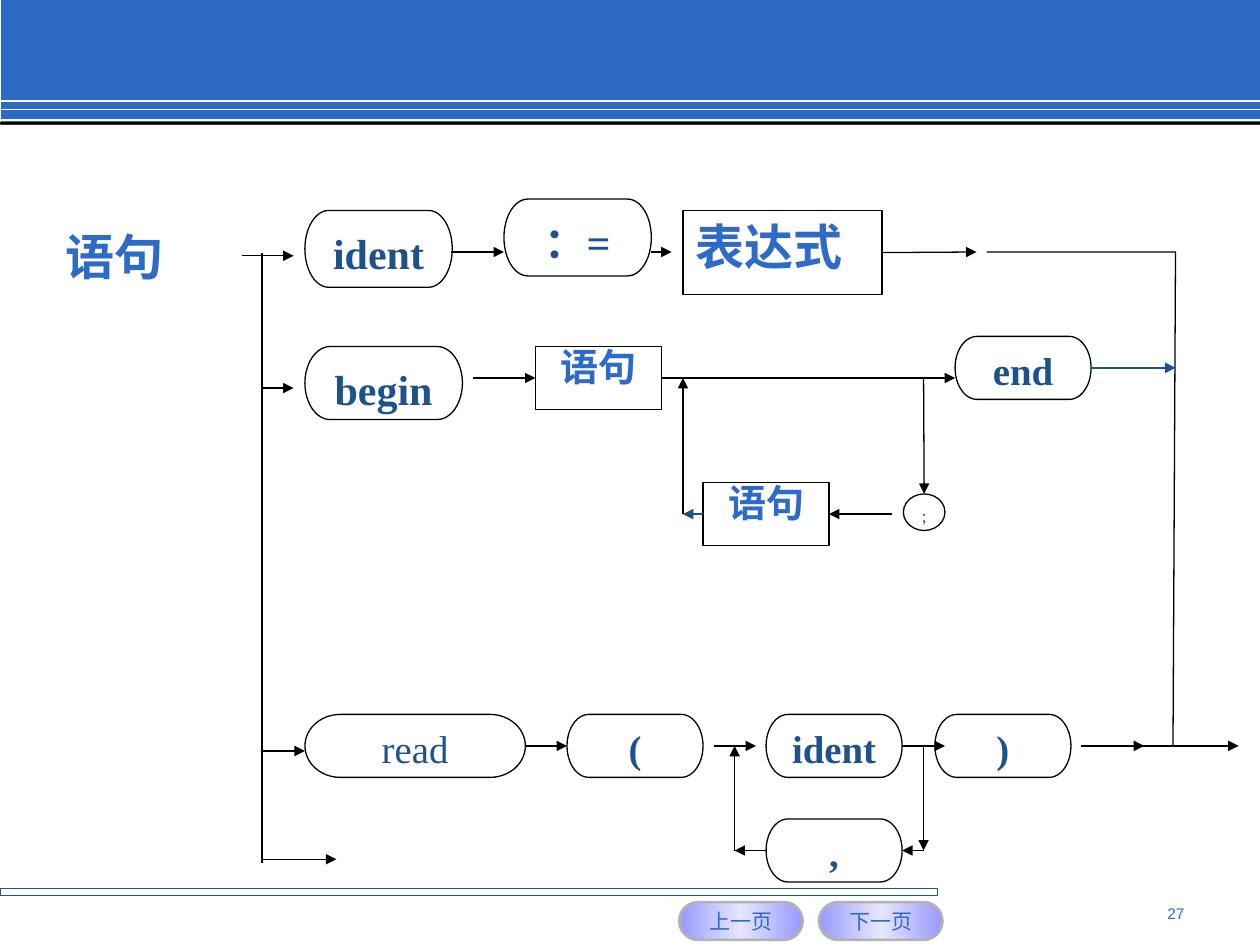
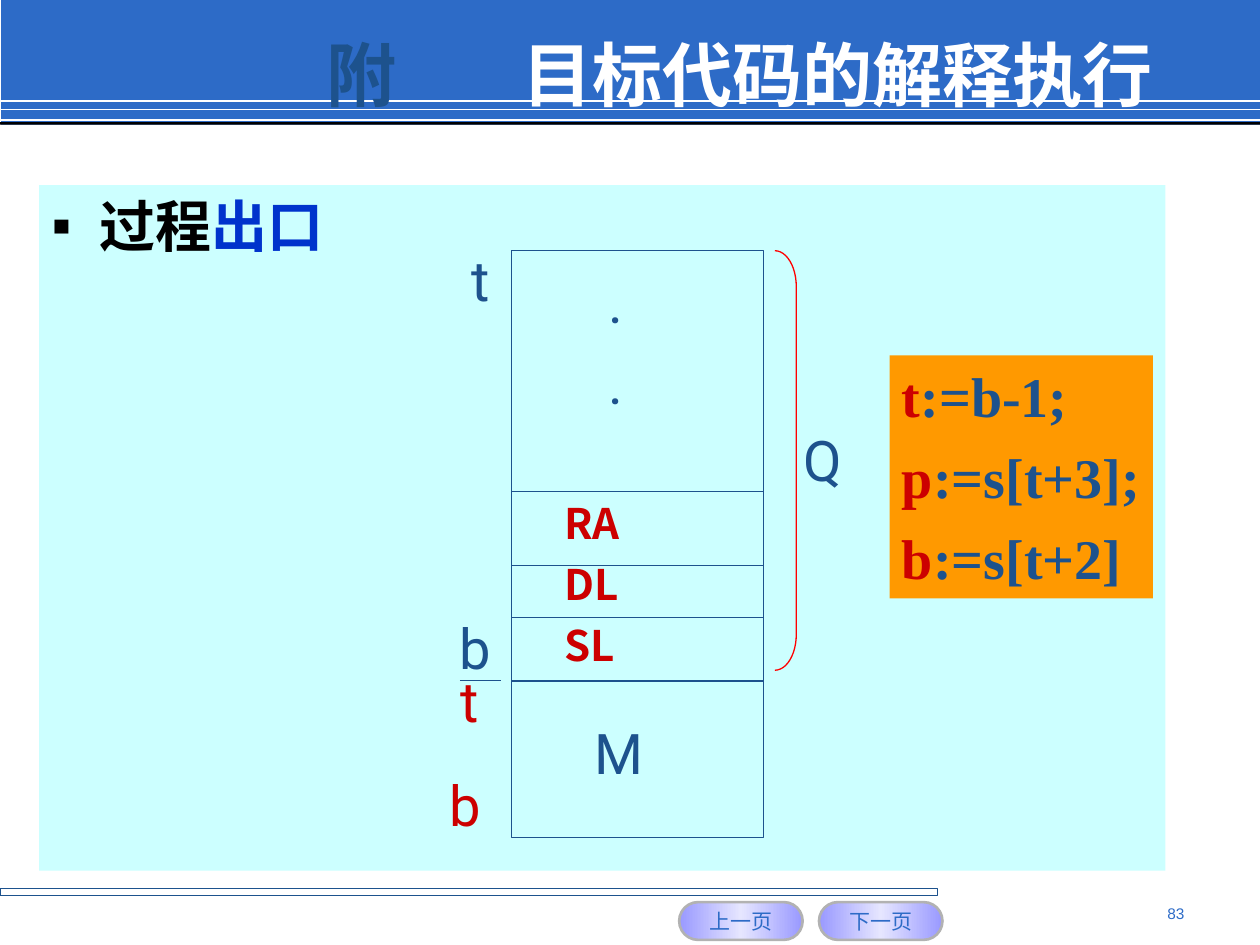
from copy import deepcopy

from lxml.etree import SubElement
from pptx import Presentation
from pptx.dml.color import RGBColor
from pptx.enum.shapes import MSO_CONNECTOR, MSO_SHAPE
from pptx.enum.text import MSO_ANCHOR, MSO_AUTO_SIZE, PP_ALIGN
from pptx.oxml.ns import qn
from pptx.util import Inches, Pt

BLUE, NAVY, RED, BLACK, WHITE = "2D6BC7", "1D528D", "CC0000", "000000", "FFFFFF"
CJK, SERIF, SANS = "Noto Sans CJK SC", "Times New Roman", "Roboto"
TERMINAL = MSO_SHAPE.FLOWCHART_TERMINATOR
RULE = MSO_SHAPE.FLOWCHART_PROCESS
JOINT = MSO_SHAPE.FLOWCHART_CONNECTOR

BANDS = [((0.01, 0, 9.99, 0.99), BLUE, None), ((0, 0.97, 10, 0.02), BLACK, None),
         ((0, 7.05, 7.44, 0.06), None, NAVY)]
BAND_LINES = [0.8, 0.87, 0.95]
BUTTONS = [("上一页", 5.39), ("下一页", 6.5)]
BUTTON_STOPS = [(0, "9999FF"), (0.5, "E6E6FF"), (1, "9999FF")]
BUTTON_TEXT = dict(name="Arial", size=Pt(12))
PAGE_TEXT = dict(name="Arial", size=Pt(8.8))

LARGE = dict(name=SERIF, size=Pt(24), bold=True)
SMALL = dict(name=SERIF, size=Pt(22.2), bold=True)
READ = dict(name=SERIF, size=Pt(22.2))
NESTED = dict(name=SERIF, size=Pt(21.7), bold=True)
EXPRESSION = dict(name=SERIF, size=Pt(28), bold=True)
SEMICOLON = dict(name=SERIF, size=Pt(10))
HEADING = dict(name=CJK, size=Pt(28), bold=True)

NODES = [
    ("ident", TERMINAL, (2.42, 1.67, 1.17, 0.61), LARGE, 1),
    ("：=", TERMINAL, (4, 1.58, 1.17, 0.61), LARGE, 1),
    ("表达式", RULE, (5.42, 1.67, 1.58, 0.67), EXPRESSION, 1),
    ("begin", TERMINAL, (2.42, 2.75, 1.25, 0.58), LARGE, 1),
    ("语句", RULE, (4.25, 2.75, 1, 0.5), NESTED, 0.8),
    ("end", TERMINAL, (7.58, 2.67, 1.08, 0.5), SMALL, 0.9),
    ("语句", RULE, (5.58, 3.83, 1, 0.5), NESTED, 0.8),
    (";", JOINT, (7.17, 3.92, 0.33, 0.29), SEMICOLON, 1),
    ("read", TERMINAL, (2.42, 5.67, 1.75, 0.5), READ, 0.9),
    ("(", TERMINAL, (4.5, 5.67, 1.08, 0.5), SMALL, 0.9),
    ("ident", TERMINAL, (6.08, 5.67, 1.08, 0.5), SMALL, 0.9),
    (")", TERMINAL, (7.42, 5.67, 1.08, 0.5), SMALL, 0.9),
    (",", TERMINAL, (6.08, 6.5, 1.08, 0.5), SMALL, 0.9),
]
TRUNK = (2.08, 2.01, 2.08, 6.85)
EXIT_PATH = [(7.83, 2), (9.33, 2), (9.31, 5.92)]
ARROWS = {
    BLACK: [
        (1.92, 2.03, 2.33, 2.03), (3.58, 2, 4, 2), (5.17, 2, 5.33, 2), (7, 2, 7.75, 2),
        (2.08, 3.08, 2.33, 3.08), (3.75, 3, 4.25, 3), (5.25, 3, 7.58, 3),
        (7.33, 3, 7.33, 3.92), (7.08, 4.08, 6.58, 4.08), (5.42, 4.08, 5.42, 3),
        (2.08, 5.96, 2.42, 5.96), (4.17, 5.92, 4.5, 5.92), (5.67, 5.92, 6, 5.92),
        (7.17, 5.92, 7.5, 5.92), (8.58, 5.92, 9.08, 5.92), (9, 5.92, 9.83, 5.92),
        (7.33, 5.92, 7.33, 6.75), (7.33, 6.75, 7.17, 6.75), (6.08, 6.75, 5.83, 6.75),
        (5.83, 6.75, 5.83, 5.92), (2.08, 6.82, 2.67, 6.82),
    ],
    NAVY: [(5.58, 4.08, 5.42, 4.08), (8.67, 2.92, 9.33, 2.92)],
}

TITLE = [[("附\t", NAVY), ("目标代码的解释执行", WHITE)]]
TOPIC = [[("过程", BLACK), ("出口", "0033CC")]]
TITLE_TEXT = dict(name=CJK, size=Pt(40), bold=True)
TOPIC_TEXT = dict(name=CJK, size=Pt(32), bold=True)
STACK_LEFT, STACK_WIDTH = 4.06, 2
FRAMES = [(1.99, 3.42), (5.4, 1.25)]
FRAME_DIVIDERS = [3.9, 4.49, 4.9]
STACK_MARK = (3.65, 5.4, 3.98, 5.4)
LINKS = ["RA", "DL", "SL"]
LINK_TEXT = dict(name=CJK, size=Pt(24), bold=True)
STACK_LABELS = [
    ("t", (3.64, 1.9, 0.36, 0.64), NAVY), ("b", (3.55, 4.82, 0.47, 0.64), NAVY),
    ("t", (3.56, 5.24, 0.36, 0.64), RED), ("b", (3.47, 6.07, 0.47, 0.64), RED),
    ("M", (4.62, 5.65, 0.6, 0.64), NAVY), ("Q", (6.28, 3.33, 0.55, 0.64), NAVY),
]
LABEL_TEXT = dict(name=SANS, size=Pt(32))
STEPS = [("t", ":=b-1;"), ("p", ":=s[t+3];"), ("b", ":=s[t+2]")]
STEP_TEXT = dict(name=SERIF, size=Pt(32), bold=True)


def rgb(value):
    return RGBColor.from_string(value)


def box(values):
    return [Inches(value) for value in values]


def write(frame, paragraphs, text_format, align=PP_ALIGN.LEFT, gap=0, spacing=None, wrap=True):
    frame.word_wrap = wrap
    frame.auto_size = MSO_AUTO_SIZE.NONE
    for index, pieces in enumerate(paragraphs):
        paragraph = frame.paragraphs[0] if index == 0 else frame.add_paragraph()
        layout = dict(alignment=align, space_before=Pt(gap if index else 0), line_spacing=spacing)
        for key, value in layout.items():
            setattr(paragraph, key, value)
        for words, color in pieces:
            run = paragraph.add_run()
            run.text = words
            for key, value in text_format.items():
                setattr(run.font, key, value)
            run.font.color.rgb = rgb(color)
            SubElement(run.font._element, qn("a:ea"), typeface=CJK)


def outline(part, color, width):
    if color:
        part.line.color.rgb = rgb(color)
        part.line.width = Pt(width)
    else:
        part.line.fill.background()


def draw(slide, kind, place, fill=None, line=None, width=0.75):
    part = slide.shapes.add_shape(kind, *box(place))
    part.shadow.inherit = False
    if fill:
        part.fill.solid()
        part.fill.fore_color.rgb = rgb(fill)
    else:
        part.fill.background()
    outline(part, line, width)
    return part


def label(slide, place, paragraphs, text_format, **options):
    text = slide.shapes.add_textbox(*box(place))
    write(text.text_frame, paragraphs, text_format, **options)
    return text


def connect(slide, ends, color, width=0.75, arrow=False):
    connector = slide.shapes.add_connector(MSO_CONNECTOR.STRAIGHT, *box(ends))
    outline(connector, color, width)
    SubElement(connector.element.spPr, qn("a:effectLst"))
    if arrow:
        SubElement(connector.line._get_or_add_ln(), qn("a:tailEnd"), type="triangle")
    return connector


def side_at(nodes, x, y):
    for node, (left, top, width, height) in nodes:
        middles = [(left + width / 2, top), (left, top + height / 2),
                   (left + width / 2, top + height), (left + width, top + height / 2)]
        for side, (middle_x, middle_y) in enumerate(middles):
            if max(abs(middle_x - x), abs(middle_y - y)) < 0.015:
                return node, side
    return None


def build_master(deck, slide):
    for place, fill, line in BANDS:
        draw(slide, MSO_SHAPE.RECTANGLE, place, fill, line)
    for y in BAND_LINES:
        connect(slide, (0, y, 10, y), WHITE, 1)
    for words, left in BUTTONS:
        button = draw(slide, MSO_SHAPE.ROUNDED_RECTANGLE, (left, 7.16, 0.98, 0.3),
                      line="B2B2B2", width=1.5)
        button.adjustments[0] = 0.5
        button.fill.gradient()
        button.fill.gradient_angle = 0
        stops = button.element.spPr.find(qn("a:gradFill")).find(qn("a:gsLst"))
        stops.insert(1, deepcopy(stops[0]))
        for stop, (position, color) in zip(button.fill.gradient_stops, BUTTON_STOPS):
            stop.position = position
            stop.color.rgb = rgb(color)
        write(button.text_frame, [[(words, BLUE)]], BUTTON_TEXT, PP_ALIGN.CENTER, wrap=False)
    for part in list(slide.shapes):
        deck.slide_master.element.cSld.spTree.append(part.element)


def page_number(slide, number):
    label(slide, (7.17, 7.13, 2.33, 0.27), [[(number, BLUE)]], PAGE_TEXT, align=PP_ALIGN.RIGHT)


def build_syntax(slide):
    page_number(slide, "27")
    label(slide, (0.42, 1.75, 1.42, 0.57), [[("语句", BLUE)]], HEADING)
    nodes = []
    for words, kind, place, text_format, spacing in NODES:
        node = draw(slide, kind, place, WHITE, BLACK)
        node.text_frame.vertical_anchor = MSO_ANCHOR.TOP
        align = PP_ALIGN.JUSTIFY if words in ("表达式", ";") else PP_ALIGN.CENTER
        color = BLUE if kind == RULE else NAVY
        write(node.text_frame, [[(words, color)]], text_format, align, spacing=spacing)
        nodes.append((node, place))
    connect(slide, TRUNK, BLACK)
    start, *rest = [box(point) for point in EXIT_PATH]
    builder = slide.shapes.build_freeform(*start)
    builder.add_line_segments(rest, close=False)
    exit_line = builder.convert_to_shape()
    exit_line.shadow.inherit = False
    exit_line.fill.background()
    outline(exit_line, BLACK, 0.75)
    for color, arrows in ARROWS.items():
        for ends in arrows:
            arrow = connect(slide, ends, color, arrow=True)
            for join, point in ((arrow.begin_connect, ends[:2]), (arrow.end_connect, ends[2:])):
                found = side_at(nodes, *point)
                if found:
                    join(*found)


def place_placeholder(placeholder, place):
    for key, value in zip(("left", "top", "width", "height"), box(place)):
        setattr(placeholder, key, value)


def build_stack(slide):
    title, topic = slide.placeholders
    place_placeholder(title, (0.75, 0.21, 8.5, 0.75))
    title.text_frame.margin_left = Inches(1.84)
    title.text_frame.vertical_anchor = MSO_ANCHOR.MIDDLE
    tabs = SubElement(title.text_frame.paragraphs[0]._p.get_or_add_pPr(), qn("a:tabLst"))
    SubElement(tabs, qn("a:tab"), pos=str(Inches(1.56)), algn="l")
    write(title.text_frame, TITLE, TITLE_TEXT)

    place_placeholder(topic, (0.31, 1.47, 8.94, 5.44))
    topic.fill.solid()
    topic.fill.fore_color.rgb = rgb("CCFFFF")
    bullet = topic.text_frame.paragraphs[0]._p.get_or_add_pPr()
    bullet.set("marL", str(Inches(0.38)))
    bullet.set("indent", str(-Inches(0.38)))
    SubElement(SubElement(bullet, qn("a:buClr")), qn("a:srgbClr"), val=BLACK)
    SubElement(bullet, qn("a:buChar"), char="▪")
    write(topic.text_frame, TOPIC, TOPIC_TEXT)

    page_number(slide, "83")
    for top, height in FRAMES:
        draw(slide, MSO_SHAPE.RECTANGLE, (STACK_LEFT, top, STACK_WIDTH, height), line=NAVY)
    for y in FRAME_DIVIDERS:
        connect(slide, (STACK_LEFT, y, STACK_LEFT + STACK_WIDTH, y), NAVY)
    connect(slide, STACK_MARK, NAVY)
    links = label(slide, (4.23, 3.9, 1.75, 1.47), [[(link, RED)] for link in LINKS],
                  LINK_TEXT, gap=6)
    links.text_frame.margin_left = Inches(0.25)
    label(slide, (4.73, 2.07, 0.5, 1.28), [[(".", NAVY)]] * 2, LABEL_TEXT, gap=8)
    for words, place, color in STACK_LABELS:
        label(slide, place, [[(words, color)]], LABEL_TEXT, wrap=False)
    steps = draw(slide, MSO_SHAPE.RECTANGLE, (7.06, 2.82, 2.09, 1.93), "FF9900")
    steps.text_frame.vertical_anchor = MSO_ANCHOR.TOP
    write(steps.text_frame, [[(target, RED), (value, NAVY)] for target, value in STEPS],
          STEP_TEXT, gap=8, wrap=False)
    bracket = draw(slide, MSO_SHAPE.RIGHT_BRACKET, (6.15, 1.99, 0.17, 3.33), line="FF0000")
    bracket.adjustments[0] = 1.67


def main():
    deck = Presentation()
    deck.slide_width, deck.slide_height = Inches(10), Inches(7.5)
    syntax = deck.slides.add_slide(deck.slide_layouts[6])
    build_master(deck, syntax)
    build_syntax(syntax)
    build_stack(deck.slides.add_slide(deck.slide_layouts[1]))
    deck.save("out.pptx")


if __name__ == "__main__":
    main()
